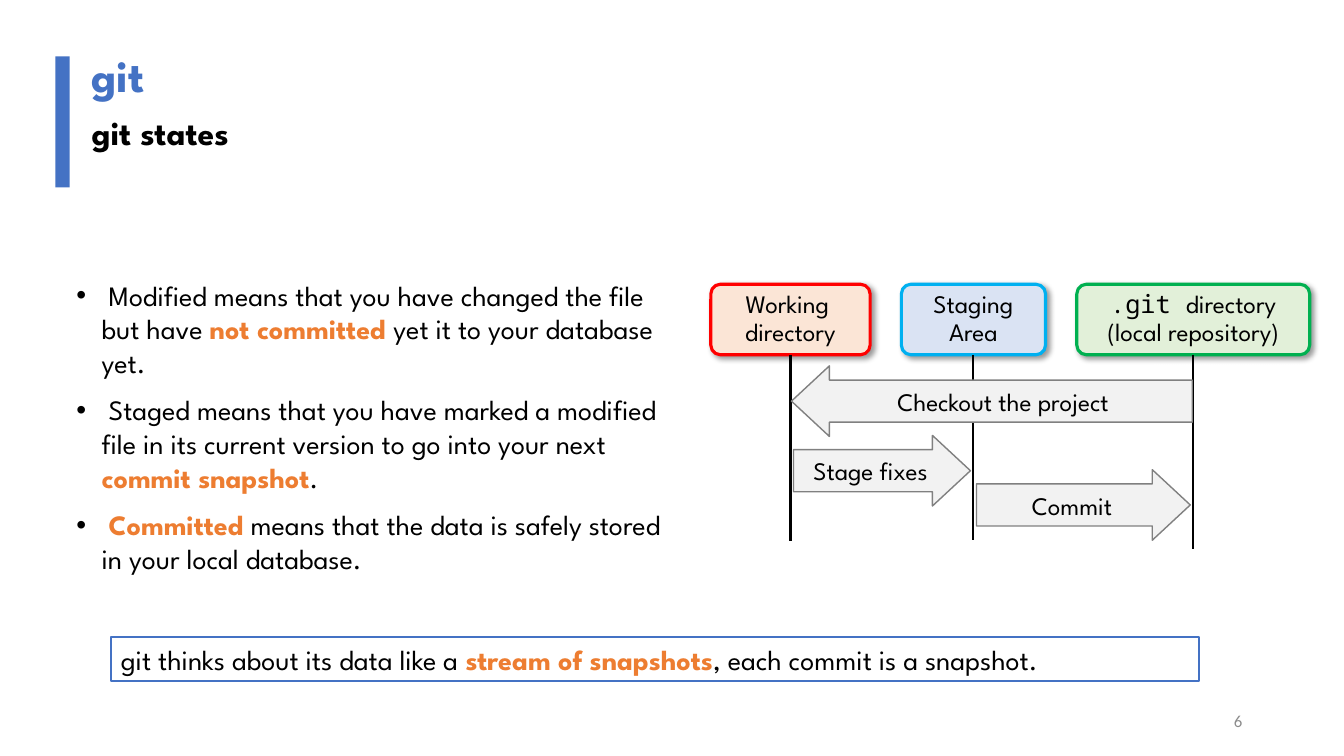
"""Build the slide on git states: title, bullets, lane diagram and summary."""
import pptx
import pptx.util
import pptx.dml.color
import pptx.enum.shapes
import pptx.enum.text
import lxml.etree

W, H = 13.33, 7.5
SANS, MONO = "League Spartan", "Noto Sans Mono"
C = {"blue": "4472C4", "orange": "ED7D31", "black": "000000", "number": "8C8C8C",
     "arrow": "F2F2F2", "edge": "808080"}
KEY = {"color": "orange", "bold": True}

TITLES = [("git", 0.42, 0.64, {"size": 32, "color": "blue", "bold": True}),
          ("git states", 1.06, 0.5, {"size": 24, "bold": True})]
BULLETS = [
    [(" Modified means that you have changed the file but have ", {}),
     ("not committed ", KEY), ("yet it to your database yet.", {})],
    [(" Staged means that you have marked a modified file in its current version "
      "to go into your next ", {}), ("commit snapshot", KEY), (".", {})],
    [(" ", {}), ("Committed", KEY),
     (" means that the data is safely stored in your local database.", {})],
]
SUMMARY = [("git thinks about its data like a ", {}), ("stream of snapshots", KEY),
           (", each commit is a snapshot.", {})]
LANES = [
    ([("Working \vdirectory", {})], 7.05, 1.58, 5.37, "FBE5D6", "FF0000"),
    ([("Staging Area", {})], 8.94, 1.43, 5.36, "DAE3F3", "00B0F0"),
    ([(".git ", {"name": MONO}), ("directory\v(local repository)", {})],
     10.68, 2.31, 5.45, "E2F0D9", "00B050"),
]
ARROWS = [("Checkout the project", 2, 0, 3.63, 0.01),
          ("Stage fixes", 0, 1, 4.32, 0.03),
          ("Commit", 1, 2, 4.66, 0.03)]
LANE_TOP, ROW = 2.82, 0.7

SHAPE = pptx.enum.shapes.MSO_SHAPE
ALIGN = pptx.enum.text.PP_ALIGN
ANCHOR = pptx.enum.text.MSO_ANCHOR
NS = "http://schemas.openxmlformats.org/drawingml/2006/main"
inch = pptx.util.Inches


def rgb(color):
    return pptx.dml.color.RGBColor.from_string(C.get(color, color))


def child(parent, tag, **attrs):
    return lxml.etree.SubElement(parent, f"{{{NS}}}{tag}", attrs)


def box(s, kind, at, fill=None, line=None, width=1.5):
    sp = s.shapes.add_shape(kind, *map(inch, at))
    sp.shadow.inherit = False
    if fill:
        sp.fill.solid()
        sp.fill.fore_color.rgb = rgb(fill)
    else:
        sp.fill.background()
    if line:
        sp.line.color.rgb = rgb(line)
        sp.line.width = pptx.util.Pt(width)
    else:
        sp.line.fill.background()
    return sp


def write(sp, paragraphs, base, anchor=ANCHOR.TOP, bullet=False, **layout):
    tf = sp.text_frame
    tf.word_wrap = True
    tf.vertical_anchor = anchor
    for i, runs in enumerate(paragraphs):
        p = tf.add_paragraph() if i else tf.paragraphs[0]
        if bullet:
            pPr = p._p.get_or_add_pPr()
            pPr.set("marL", str(inch(0.25)))
            pPr.set("indent", str(inch(-0.25)))
            child(pPr, "buFont", typeface="Arial")
            child(pPr, "buChar", char="•")
        for name, value in {"alignment": ALIGN.LEFT, **layout}.items():
            setattr(p, name, value)
        if i:
            p.space_before = pptx.util.Pt(10)
        for text, change in runs:
            for j, part in enumerate(text.split("\v")):
                if j:
                    p.add_line_break()
                r = p.add_run()
                r.text = part
                form = {"name": SANS, "color": "black", "bold": False, **base, **change}
                r.font.color.rgb = rgb(form.pop("color"))
                form["size"] = pptx.util.Pt(form["size"])
                for name, value in form.items():
                    setattr(r.font, name, value)


def text_box(s, at, paragraphs, base, **layout):
    write(s.shapes.add_textbox(*map(inch, at)), paragraphs, base, **layout)


def cast_shadow(sp):
    effects = sp._element.spPr.find(f"{{{NS}}}effectLst")
    shadow = child(effects, "outerShdw", blurRad=str(pptx.util.Pt(4)),
                   dist=str(pptx.util.Pt(3)), dir=str(45 * 60000), algn="tl",
                   rotWithShape="0")
    child(child(shadow, "srgbClr", val=C["black"]), "alpha", val="40000")


def lanes(s):
    centres = [left + width / 2 for _, left, width, *_ in LANES]
    for (runs, left, width, bottom, fill, line), x in zip(LANES, centres):
        sp = box(s, SHAPE.ROUNDED_RECTANGLE, (left, LANE_TOP, width, ROW), fill, line, 2.25)
        sp.adjustments[0] = 0.137
        cast_shadow(sp)
        write(sp, [runs], {"size": 18}, alignment=ALIGN.CENTER, line_spacing=0.9)
        cx = s.shapes.add_connector(pptx.enum.shapes.MSO_CONNECTOR.STRAIGHT,
                                    *map(inch, (x, LANE_TOP + ROW, x, bottom)))
        cx.line.color.rgb = rgb("black")
        cx.line.width = pptx.util.Pt(1.5)
        child(cx._element.spPr, "effectLst")
    for label, start, end, top, gap in ARROWS:
        left, right = sorted((centres[start], centres[end]))
        kind = SHAPE.RIGHT_ARROW if start < end else SHAPE.LEFT_ARROW
        sp = box(s, kind, (left + gap, top, right - left - 2 * gap, ROW), "arrow", "edge", 1)
        sp.adjustments[0], sp.adjustments[1] = 0.596, 0.538
        write(sp, [[(label, {})]], {"size": 18}, ANCHOR.MIDDLE, alignment=ALIGN.CENTER)


def main():
    prs = pptx.Presentation()
    prs.slide_width, prs.slide_height = inch(W), inch(H)
    s = prs.slides.add_slide(prs.slide_layouts[6])
    box(s, SHAPE.RECTANGLE, (0.55, 0.56, 0.14, 1.3), "blue")
    for text, top, height, form in TITLES:
        text_box(s, (0.81, top, 7.75, height), [[(text, {})]], form)
    text_box(s, (9.42, 6.95, 3, 0.4), [[("6", {})]],
             {"size": 12, "name": "Calibri", "color": "number"},
             anchor=ANCHOR.MIDDLE, alignment=ALIGN.RIGHT)
    lanes(s)
    text_box(s, (0.66, 2.71, 6.11, 3.32), BULLETS, {"size": 20}, bullet=True)
    summary = box(s, SHAPE.RECTANGLE, (1.1, 6.32, 10.79, 0.44), line="blue")
    write(summary, [SUMMARY], {"size": 20})
    prs.save("out.pptx")


if __name__ == "__main__":
    main()
